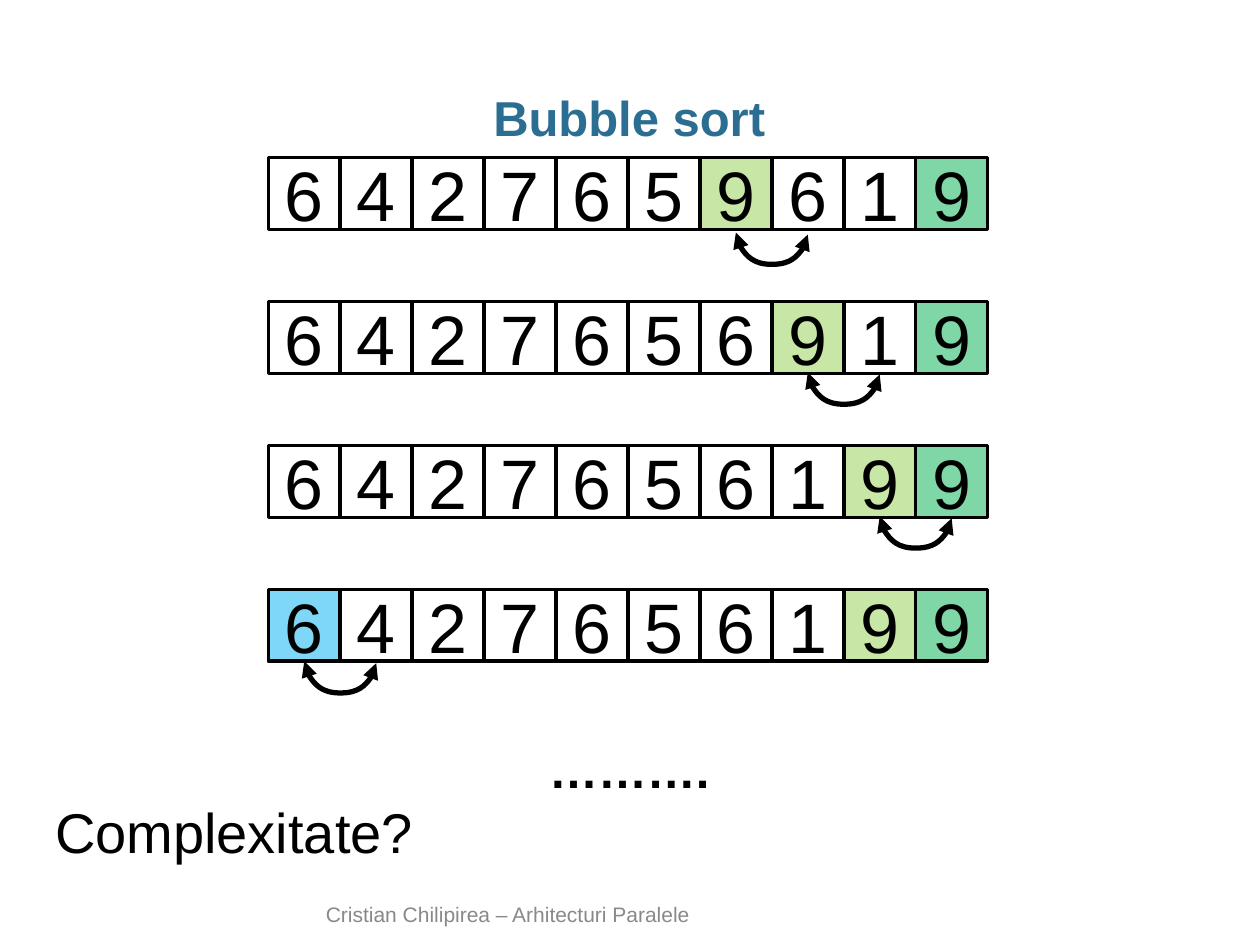
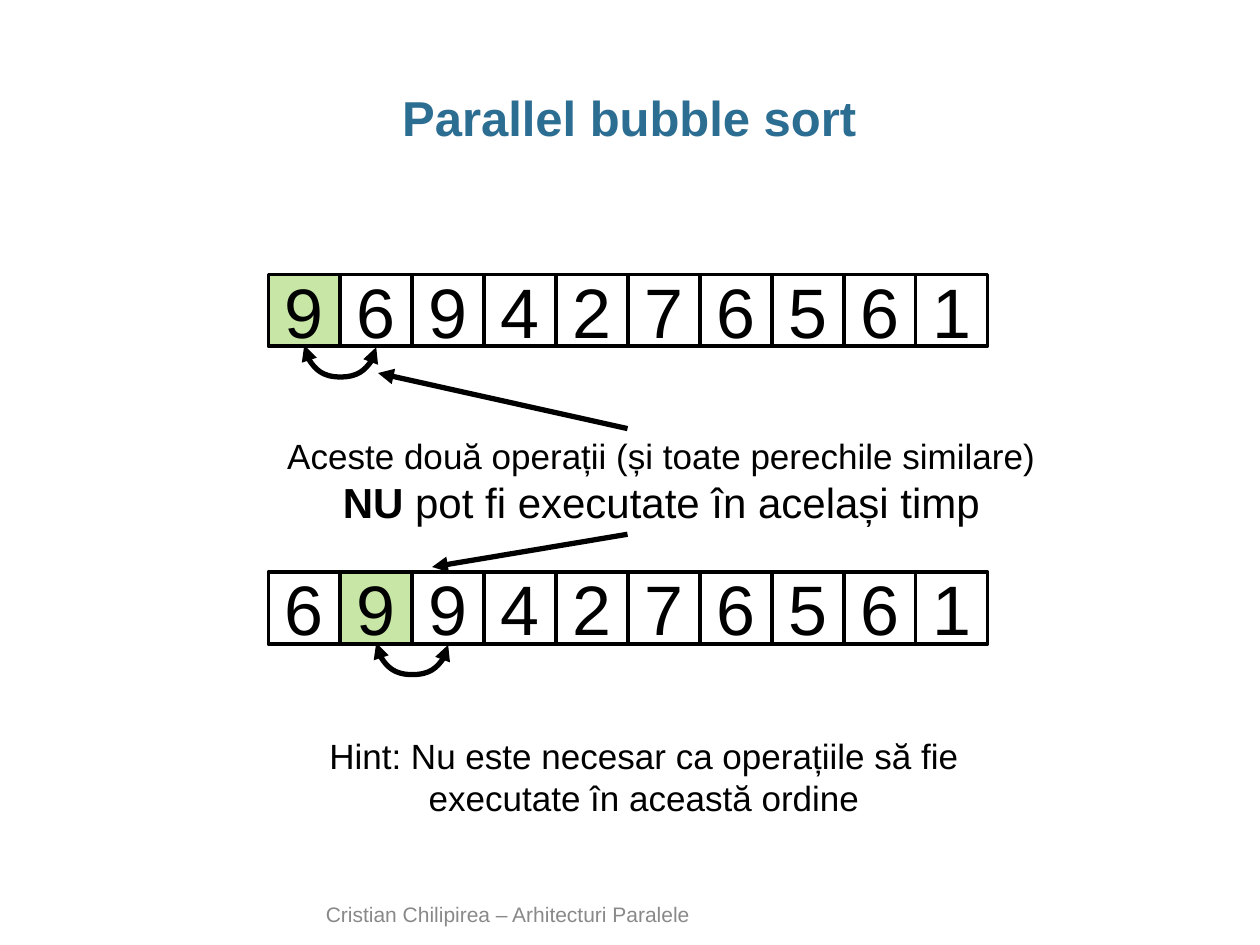
from lxml import etree
from pptx import Presentation
from pptx.dml.color import RGBColor
from pptx.enum.shapes import MSO_CONNECTOR, MSO_SHAPE
from pptx.enum.text import MSO_ANCHOR, MSO_AUTO_SIZE, PP_ALIGN
from pptx.oxml.ns import qn
from pptx.util import Cm, Pt

RECTANGLE = MSO_SHAPE.RECTANGLE
STRAIGHT = MSO_CONNECTOR.STRAIGHT
CURVE = MSO_CONNECTOR.CURVE
TOP = MSO_ANCHOR.TOP
MIDDLE = MSO_ANCHOR.MIDDLE
BOTTOM = MSO_ANCHOR.BOTTOM
LEFT = PP_ALIGN.LEFT
CENTER = PP_ALIGN.CENTER
GROW = MSO_AUTO_SIZE.SHAPE_TO_FIT_TEXT

FONT = "Arial"
COLORS = {
    "title": "2C6D92",
    "footer": "898989",
    "ink": "000000",
    "moving": "92D050",
    "sorted": "00B050",
    "restart": "00B0F0",
}
CELL = 1.45
ROW_LEFT = 5.41
SWAP_DEPTH = 0.64
SWAP_RISE = 0.04
FOOTER = "Cristian Chilipirea – Arhitecturi Paralele"


def color(name):
    return RGBColor.from_string(COLORS[name])


def add_run(paragraph, text, size=20, ink="ink", bold=False):
    run = paragraph.add_run()
    run.text = text
    run.font.name = FONT
    run.font.size = Pt(size)
    run.font.bold = bold
    run.font.color.rgb = color(ink)


def add_text(slide, text, left, top, width, height, align=LEFT, anchor=TOP,
             wrap=True, grow=False, **format):
    box = slide.shapes.add_textbox(Cm(left), Cm(top), Cm(width), Cm(height))
    frame = box.text_frame
    frame.word_wrap = wrap
    frame.vertical_anchor = anchor
    if grow:
        frame.auto_size = GROW
    paragraph = frame.paragraphs[0]
    paragraph.alignment = align
    add_run(paragraph, text, **format)
    return frame


def add_page(presentation, title):
    slide = presentation.slides.add_slide(presentation.slide_layouts[6])
    add_text(slide, FOOTER, 6.32, 18.19, 12.75, 0.61, anchor=BOTTOM,
             size=12, ink="footer")
    frame = add_text(slide, title, 0.86, 1.73, 23.65, 1.27, align=CENTER,
                     size=28, ink="title", bold=True)
    frame.margin_left = frame.margin_right = 0
    frame.paragraphs[0].line_spacing = 0.95
    return slide


def add_cell(slide, digit, left, top, fill=None):
    shape = slide.shapes.add_shape(RECTANGLE, Cm(left), Cm(top), Cm(CELL), Cm(CELL))
    shape.shadow.inherit = False
    shape.line.color.rgb = color("ink")
    shape.line.width = Pt(2)
    if fill:
        shape.fill.solid()
        shape.fill.fore_color.rgb = color(fill)
        tint = shape._element.spPr.find(qn("a:solidFill")).find(qn("a:srgbClr"))
        etree.SubElement(tint, qn("a:alpha"), val="50000")
    else:
        shape.fill.background()
    frame = shape.text_frame
    frame.vertical_anchor = MIDDLE
    paragraph = frame.paragraphs[0]
    paragraph.alignment = CENTER
    add_run(paragraph, digit, size=40)


def add_arrow(slide, kind, start, end, ends=("tailEnd",)):
    points = [Cm(value) for value in (*start, *end)]
    connector = slide.shapes.add_connector(kind, *points)
    connector.line.color.rgb = color("ink")
    connector.line.width = Pt(3)
    properties = connector._element.spPr
    line = properties.find(qn("a:ln"))
    for end_name in ends:
        etree.SubElement(line, qn(f"a:{end_name}"), type="triangle")
    etree.SubElement(properties, qn("a:effectLst"))
    return properties


def add_swap(slide, column, top):
    middle = ROW_LEFT + (column + 1) * CELL
    start = (middle - SWAP_RISE / 2, top - CELL / 2)
    end = (middle + SWAP_RISE / 2, top + CELL / 2)
    properties = add_arrow(slide, CURVE, start, end, ("headEnd", "tailEnd"))
    transform = properties.find(qn("a:xfrm"))
    transform.set("rot", "16200000")
    transform.set("flipH", "1")
    guides = properties.find(qn("a:prstGeom")).find(qn("a:avLst"))
    bend = round(SWAP_DEPTH / SWAP_RISE * 100000)
    etree.SubElement(guides, qn("a:gd"), name="adj1", fmla=f"val {bend}")


def add_array(slide, digits, top, fills, swap, gap=0):
    for column, digit in enumerate(digits):
        add_cell(slide, digit, ROW_LEFT + column * CELL, top, fills.get(column))
    add_swap(slide, swap, top + CELL + gap)


def build_bubble_sort(presentation):
    slide = add_page(presentation, "Bubble sort")
    steps = [
        ("6427659619", {6: "moving"}, 6, 0.08),
        ("6427656919", {7: "moving"}, 7, 0),
        ("6427656199", {8: "moving"}, 8, 0),
        ("6427656199", {0: "restart", 8: "moving"}, 0, 0.02),
    ]
    for row, (digits, fills, swap, gap) in enumerate(steps):
        top = 3.18 + row * 2 * CELL
        add_array(slide, digits, top, {**fills, 9: "sorted"}, swap, gap)
    add_text(slide, "……….", 10.82, 14.78, 3.78, 1.45, wrap=False, grow=True,
             size=28, bold=True)
    add_text(slide, "Complexitate?", 0.86, 15.95, 7.8, 1.63, wrap=False,
             grow=True, size=32)


def build_parallel_bubble_sort(presentation):
    slide = add_page(presentation, "Parallel bubble sort")
    add_array(slide, "9694276561", 5.53, {0: "moving"}, 0)
    add_array(slide, "6994276561", 11.53, {1: "moving"}, 1)
    add_arrow(slide, STRAIGHT, (12.65, 8.64), (7.62, 7.52))
    add_arrow(slide, STRAIGHT, (12.65, 10.77), (8.71, 11.43))
    add_text(slide, "Hint: Nu este necesar ca operațiile să fie executate în această ordine",
             6.15, 14.68, 13.67, 1.96, align=CENTER, grow=True)
    frame = add_text(slide, "Aceste două operații (și toate perechile similare) ",
                     5.18, 8.64, 16.31, 2.13, align=CENTER, grow=True)
    add_run(frame.paragraphs[0], "NU ", size=24, bold=True)
    add_run(frame.paragraphs[0], "pot fi executate în același timp", size=24)


def main():
    presentation = Presentation()
    presentation.slide_width = Cm(25.4)
    presentation.slide_height = Cm(19.05)
    build_bubble_sort(presentation)
    build_parallel_bubble_sort(presentation)
    presentation.save("out.pptx")


if __name__ == "__main__":
    main()
